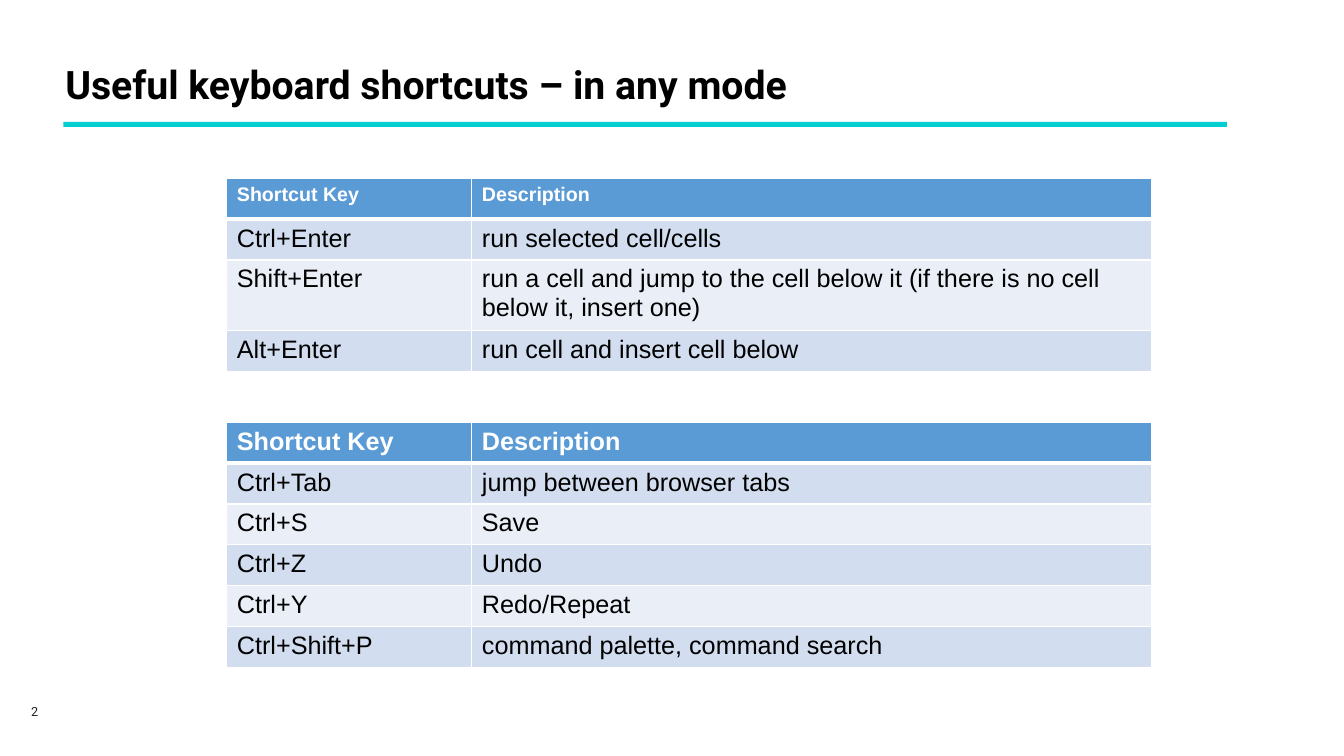
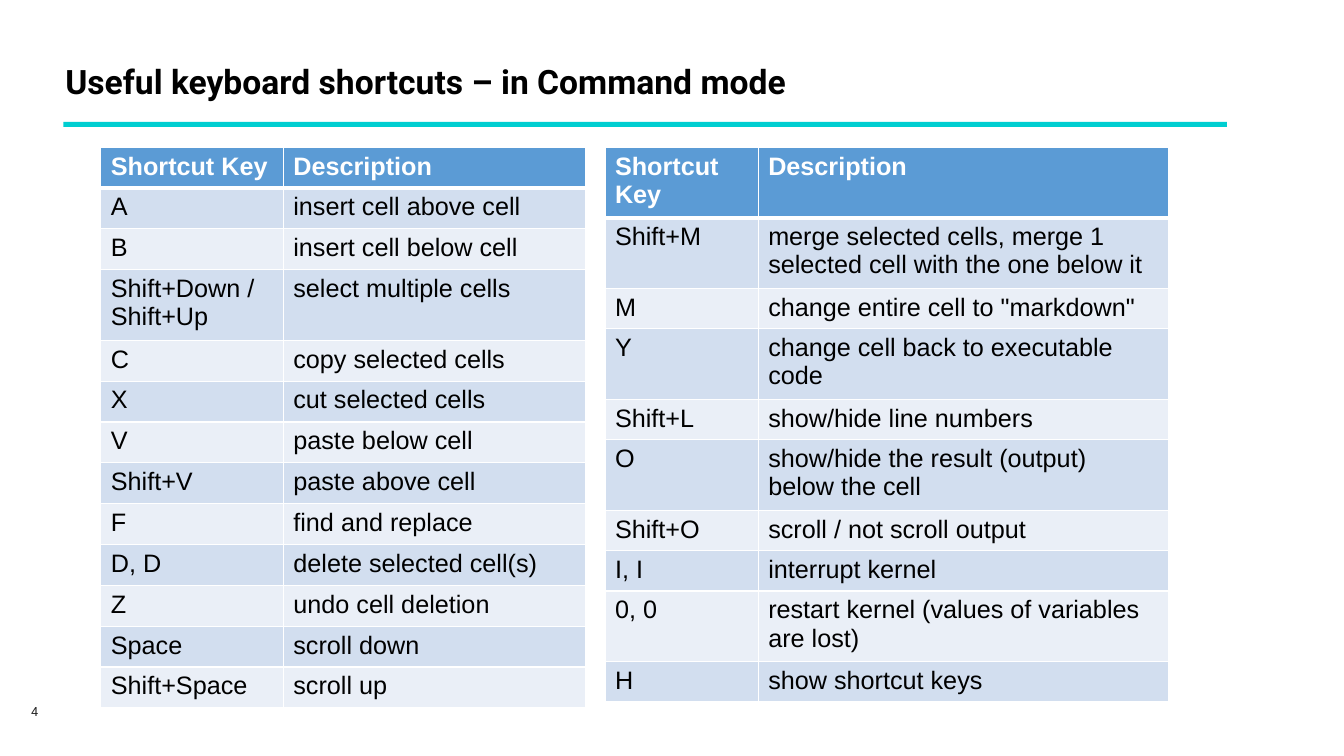
from lxml import etree
from pptx import Presentation
from pptx import util as u
from pptx.dml.color import RGBColor
from pptx.enum import shapes
from pptx.oxml.ns import qn

COLORS = {
    "accent": "00CED1", "header": "5B9BD5", "odd": "D2DEEF", "even": "EAEFF7",
    "white": "FFFFFF", "black": "000000", "number": "232323",
}
HEADINGS = ("Shortcut Key", "Description")

# Each table: left, top, column widths, minimum height, heading size, rows
SLIDES = [
    {"number": "2", "title": "Useful keyboard shortcuts – in any mode", "size": 28, "tables": [
        (2.25, 1.77, (2.43, 6.74), 1.62, 14, [
            ("Ctrl+Enter", "run selected cell/cells"),
            ("Shift+Enter", "run a cell and jump to the cell below it "
                            "(if there is no cell below it, insert one)"),
            ("Alt+Enter", "run cell and insert cell below"),
        ]),
        (2.25, 4.19, (2.43, 6.74), 2.43, 18, [
            ("Ctrl+Tab", "jump between browser tabs"),
            ("Ctrl+S", "Save"),
            ("Ctrl+Z", "Undo"),
            ("Ctrl+Y", "Redo/Repeat"),
            ("Ctrl+Shift+P", "command palette, command search"),
        ]),
    ]},
    {"number": "4", "title": "Useful keyboard shortcuts – in Command mode", "size": 24, "tables": [
        (1, 1.46, (1.81, 3), 5.27, 18, [
            ("A", "insert cell above cell"),
            ("B", "insert cell below cell"),
            ("Shift+Down / Shift+Up", "select multiple cells"),
            ("C", "copy selected cells"),
            ("X", "cut selected cells"),
            ("V", "paste below cell"),
            ("Shift+V", "paste above cell"),
            ("F", "find and replace"),
            ("D, D", "delete selected cell(s)"),
            ("Z", "undo cell deletion"),
            ("Space", "scroll down"),
            ("Shift+Space", "scroll up"),
        ]),
        (6, 1.46, (1.52, 4.07), 3.6, 18, [
            ("Shift+M", "merge selected cells, merge 1 selected cell with the one below it"),
            ("M", 'change entire cell to "markdown"'),
            ("Y", "change cell back to executable code"),
            ("Shift+L", "show/hide line numbers"),
            ("O", "show/hide the result (output) below the cell"),
            ("Shift+O", "scroll / not scroll output"),
            ("I, I", "interrupt kernel"),
            ("0, 0", "restart kernel (values of variables are lost)"),
            ("H", "show shortcut keys"),
        ]),
    ]},
]


def add_run(tf, text, size, font, color, bold=False):
    p = tf.paragraphs[0]
    r = p.add_run()
    r.text = text
    r.font.size, r.font.name, r.font.bold = u.Pt(size), font, bold
    r.font.color.rgb = RGBColor.from_string(COLORS[color])
    return p


def set_borders(cell, top, bottom):
    tcPr = cell._tc.get_or_add_tcPr()
    for i, (side, width) in enumerate((("L", 1), ("R", 1), ("T", top), ("B", bottom))):
        ln = etree.Element(qn("a:ln" + side), w=str(u.Pt(width)))
        fill = etree.SubElement(ln, qn("a:solidFill"))
        etree.SubElement(fill, qn("a:srgbClr"), val=COLORS["white"])
        tcPr.insert(i, ln)


prs = Presentation()
prs.slide_width, prs.slide_height = u.Inches(13.33), u.Inches(7.5)

for page in SLIDES:
    s = prs.slides.add_slide(prs.slide_layouts[6])

    # Slide number
    sp = s.shapes.add_textbox(u.Inches(0.21), u.Inches(6.93), u.Inches(0.45), u.Inches(0.25))
    sp.text_frame.word_wrap = True
    add_run(sp.text_frame, page["number"], 9, "Roboto", "number")

    # Title and the rule under it
    sp = s.shapes.add_shape(shapes.MSO_SHAPE.RECTANGLE, u.Inches(0.63), u.Inches(1.21),
                            u.Inches(11.54), u.Inches(0.05))
    sp.shadow.inherit = False
    sp.fill.solid()
    sp.fill.fore_color.rgb = RGBColor.from_string(COLORS["accent"])
    sp.line.fill.background()
    sp = s.shapes.add_textbox(u.Inches(0.55), u.Inches(0.6), u.Inches(11.24), u.Inches(0.64))
    sp.text_frame.word_wrap = True
    p = add_run(sp.text_frame, page["title"], page["size"], "Roboto", "black", True)
    p.line_spacing = 0.9

    # Shortcut tables
    for left, top, widths, height, heading_size, rows in page["tables"]:
        table = s.shapes.add_table(len(rows) + 1, 2, u.Inches(left), u.Inches(top),
                                   u.Inches(sum(widths)), u.Inches(height)).table
        for column, width in zip(table.columns, widths):
            column.width = u.Inches(width)
        for i, row in enumerate([HEADINGS] + rows):
            heading = i == 0
            band = "header" if heading else "odd" if i % 2 else "even"
            for j, text in enumerate(row):
                cell = table.cell(i, j)
                cell.fill.solid()
                cell.fill.fore_color.rgb = RGBColor.from_string(COLORS[band])
                set_borders(cell, 3 if i == 1 else 1, 3 if heading else 1)
                add_run(cell.text_frame, text, heading_size if heading else 18, "Arial",
                        "white" if heading else "black", heading)

prs.save("out.pptx")
